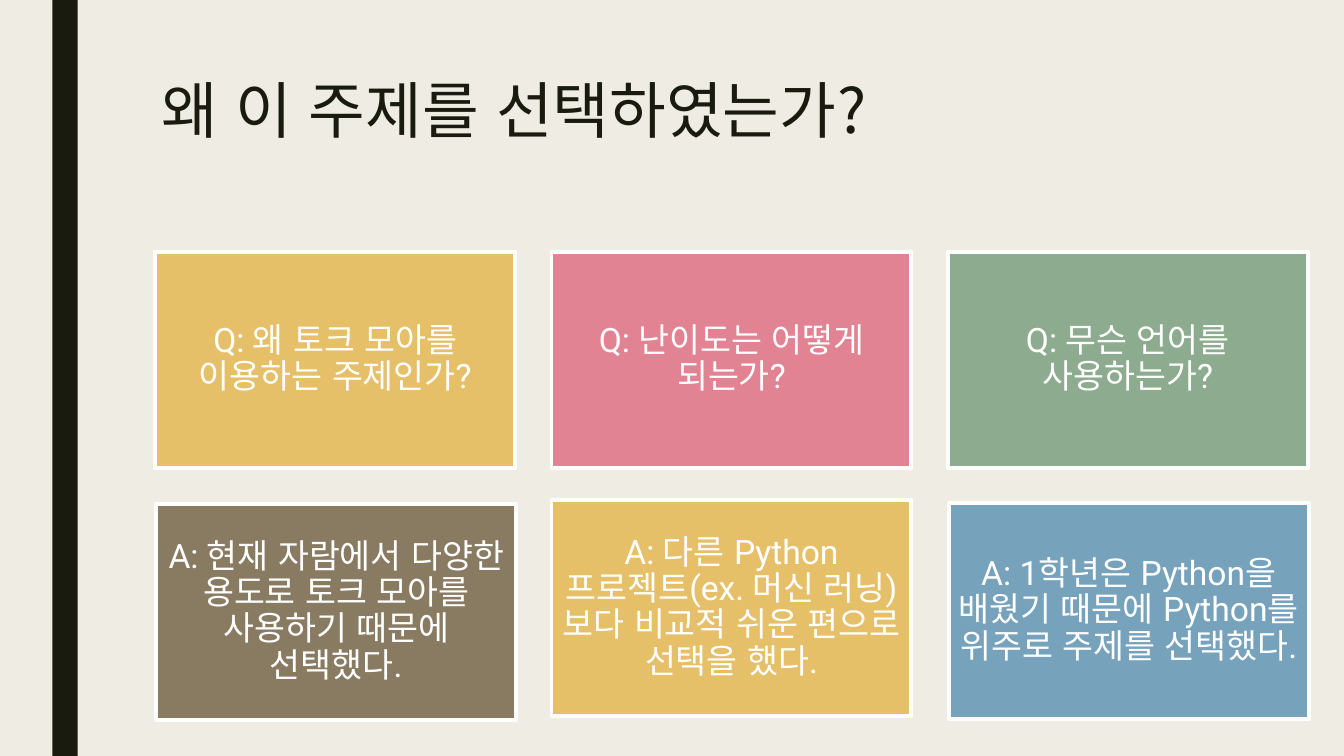
from dataclasses import dataclass

from lxml.etree import SubElement
from pptx import Presentation
from pptx.dml.color import RGBColor
from pptx.enum.lang import MSO_LANGUAGE_ID as Language
from pptx.enum.shapes import MSO_SHAPE as Shape
from pptx.enum.text import MSO_ANCHOR as Anchor, PP_ALIGN as Align
from pptx.oxml.ns import qn
from pptx.util import Inches, Pt


@dataclass(frozen=True)
class Theme:
    background: str = "EFEDE3"
    ink: str = "191B0E"
    white: str = "FFFFFF"
    yellow: str = "E6C069"
    pink: str = "E28394"
    green: str = "8DAB8E"
    brown: str = "897B61"
    blue: str = "77A2BB"
    latin_font: str = "Roboto"
    korean_font: str = "Noto Sans CJK KR"
    title_size: float = 44
    card_size: float = 24
    border_width: float = 2.75


def write_text(frame, text, *, font, korean_font, size, color,
               align=Align.LEFT, anchor=Anchor.TOP, line_spacing=0.9, space_after=0):
    frame.word_wrap = True
    frame.vertical_anchor = anchor
    frame.margin_left = frame.margin_right = Inches(0.1)
    frame.margin_top = frame.margin_bottom = Inches(0.1)
    paragraph = frame.paragraphs[0]
    paragraph.alignment = align
    paragraph.line_spacing = line_spacing
    paragraph.space_after = Pt(space_after)
    run = paragraph.add_run()
    run.text = text
    run.font.name = font
    run.font.size = Pt(size)
    run.font.color.rgb = RGBColor.from_string(color)
    run.font.language_id = Language.KOREAN
    # East Asian glyphs need their own typeface
    SubElement(run.font._element, qn("a:ea"), typeface=korean_font)


class SlideBuilder:
    def __init__(self, slide, theme):
        self.slide = slide
        self.theme = theme
        fill = slide.background.fill
        fill.solid()
        fill.fore_color.rgb = RGBColor.from_string(theme.background)

    def rectangle(self, left, top, width, height, color, border=None):
        shape = self.slide.shapes.add_shape(
            Shape.RECTANGLE, Inches(left), Inches(top), Inches(width), Inches(height))
        shape.shadow.inherit = False
        shape.fill.solid()
        shape.fill.fore_color.rgb = RGBColor.from_string(color)
        if border:
            shape.line.color.rgb = RGBColor.from_string(border)
            shape.line.width = Pt(self.theme.border_width)
        else:
            shape.line.fill.background()
        return shape

    def title(self, left, top, width, height, text):
        theme = self.theme
        box = self.slide.shapes.add_textbox(
            Inches(left), Inches(top), Inches(width), Inches(height))
        write_text(box.text_frame, text, font=theme.korean_font,
                   korean_font=theme.korean_font, size=theme.title_size,
                   color=theme.ink, line_spacing=0.89)
        box.text_frame.margin_top = Inches(0.05)

    def card(self, left, top, width, height, color, text):
        theme = self.theme
        shape = self.rectangle(left, top, width, height, color, theme.white)
        write_text(shape.text_frame, text, font=theme.latin_font,
                   korean_font=theme.korean_font, size=theme.card_size,
                   color=theme.white, align=Align.CENTER, anchor=Anchor.MIDDLE,
                   space_after=8.4)


theme = Theme()
presentation = Presentation()
presentation.slide_width = Inches(13.33)
presentation.slide_height = Inches(7.5)
builder = SlideBuilder(presentation.slides.add_slide(presentation.slide_layouts[6]), theme)

# Side bar and title
builder.rectangle(0.52, 0, 0.25, 7.5, theme.ink)
builder.title(1.5, 0.75, 10.5, 1.62, "왜 이 주제를 선택하였는가?")

# Question cards, each with its answer below
card_width, card_height = 3.57, 2.14
first_left, column_step, question_top = 1.54, 3.93, 2.5
columns = [
    (theme.yellow, "Q: 왜 토크 모아를 이용하는 주제인가?",
     theme.brown, "A: 현재 자람에서 다양한 용도로 토크 모아를 사용하기 때문에 선택했다.", 0.01, 5),
    (theme.pink, "Q: 난이도는 어떻게 되는가?",
     theme.yellow, "A: 다른 Python 프로젝트(ex. 머신 러닝)보다 비교적 쉬운 편으로 선택을 했다.", 0, 4.96),
    (theme.green, "Q: 무슨 언어를 사용하는가?",
     theme.blue, "A: 1학년은 Python을 배웠기 때문에 Python를 위주로 주제를 선택했다.", 0.01, 4.99),
]
for index, (question_color, question, answer_color, answer, shift, answer_top) in enumerate(columns):
    left = first_left + index * column_step
    builder.card(left, question_top, card_width, card_height, question_color, question)
    builder.card(left + shift, answer_top, card_width, card_height, answer_color, answer)

presentation.save("out.pptx")
